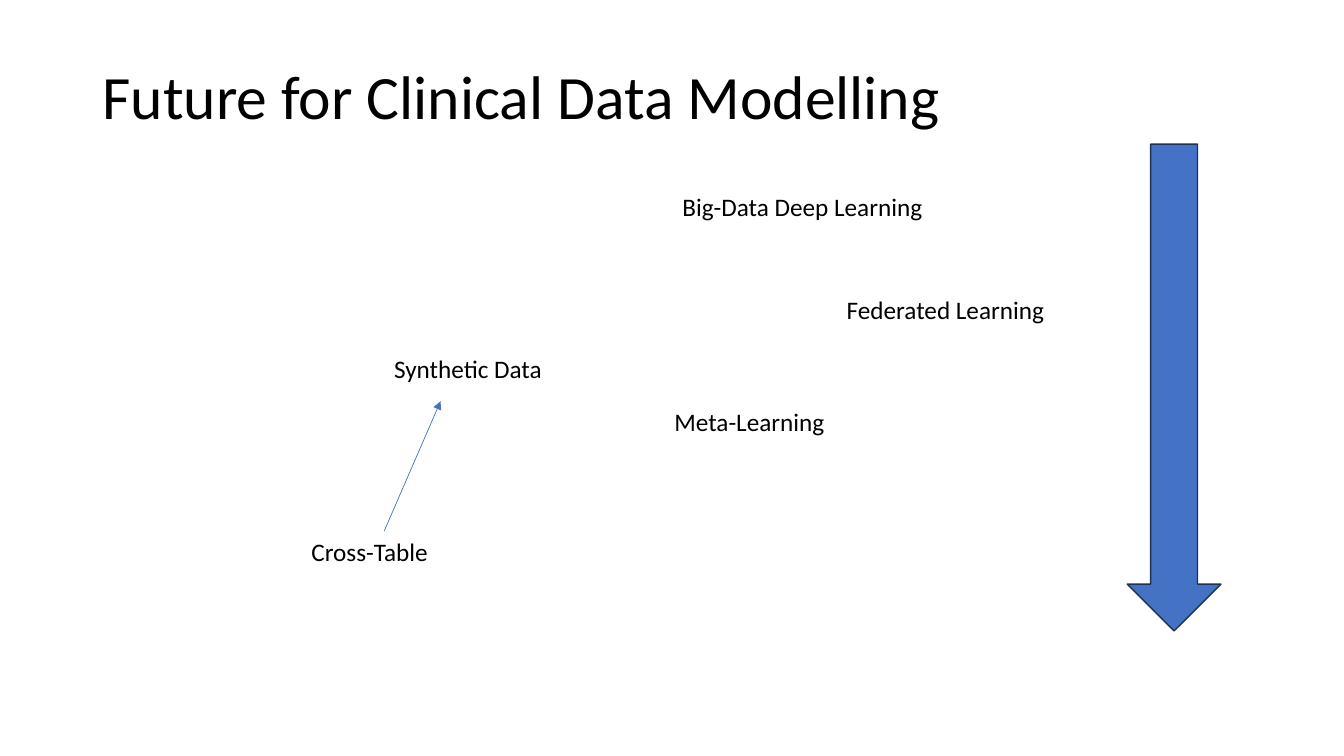
from lxml import etree
from pptx import Presentation
from pptx.dml.color import RGBColor
from pptx.enum.shapes import MSO_CONNECTOR, MSO_SHAPE
from pptx.enum.text import MSO_ANCHOR, MSO_AUTO_SIZE
from pptx.oxml.ns import qn
from pptx.util import Inches, Pt

TITLE = ("Future for Clinical Data Modelling", (0.92, 0.26, 11.5, 1.45))
LABEL_HEIGHT = 0.4
METHODS = [  # wording, left, top, width
    ("Synthetic Data", 3.81, 3.46, 2.56),
    ("Federated Learning", 8.3, 2.87, 2.56),
    ("Meta-Learning", 6.59, 3.98, 2.56),
    ("Big-Data Deep Learning", 6.67, 1.85, 3.47),
    ("Cross-Table", 2.99, 5.27, 2.76),
]
TABLE_TO_SYNTHETIC = (3.81, 5.27, 4.37, 3.98)
DOWN_ARROW = (11.18, 1.43, 0.93, 4.83)
BLACK, BLUE, NAVY = "000000", "4472C4", "1E3256"


def color(hex_string):
    return RGBColor.from_string(hex_string)


def inches(lengths):
    return [Inches(length) for length in lengths]


def add_text(slide, wording, box, size, frame_format, line_spacing=None):
    frame = slide.shapes.add_textbox(*inches(box)).text_frame
    for name, value in frame_format.items():
        setattr(frame, name, value)
    paragraph = frame.paragraphs[0]
    paragraph.line_spacing = line_spacing
    run = paragraph.add_run()
    run.text = wording
    for name, value in {"name": "Calibri", "size": Pt(size)}.items():
        setattr(run.font, name, value)
    run.font.color.rgb = color(BLACK)


def add_link(slide, ends):
    link = slide.shapes.add_connector(MSO_CONNECTOR.STRAIGHT, *inches(ends))
    link.line.color.rgb = color(BLUE)
    link.line.width = Pt(0.5)
    etree.SubElement(link.line._get_or_add_ln(), qn("a:tailEnd"), type="triangle")
    etree.SubElement(link._element.spPr, qn("a:effectLst"))


def add_down_arrow(slide, box):
    arrow = slide.shapes.add_shape(MSO_SHAPE.DOWN_ARROW, *inches(box))
    arrow.shadow.inherit = False
    arrow.fill.solid()
    arrow.fill.fore_color.rgb = color(BLUE)
    arrow.line.color.rgb = color(NAVY)
    arrow.line.width = Pt(1)


def main():
    deck = Presentation()
    deck.slide_width, deck.slide_height = inches((13.33, 7.5))
    slide = deck.slides.add_slide(deck.slide_layouts[6])

    wording, box = TITLE
    title_format = {"word_wrap": True, "vertical_anchor": MSO_ANCHOR.MIDDLE}
    add_text(slide, wording, box, 44, title_format, line_spacing=0.9)

    add_link(slide, TABLE_TO_SYNTHETIC)
    label_format = {"word_wrap": True, "auto_size": MSO_AUTO_SIZE.SHAPE_TO_FIT_TEXT}
    for wording, left, top, width in METHODS:
        add_text(slide, wording, (left, top, width, LABEL_HEIGHT), 18, label_format)
    add_down_arrow(slide, DOWN_ARROW)

    deck.save("out.pptx")


if __name__ == "__main__":
    main()
